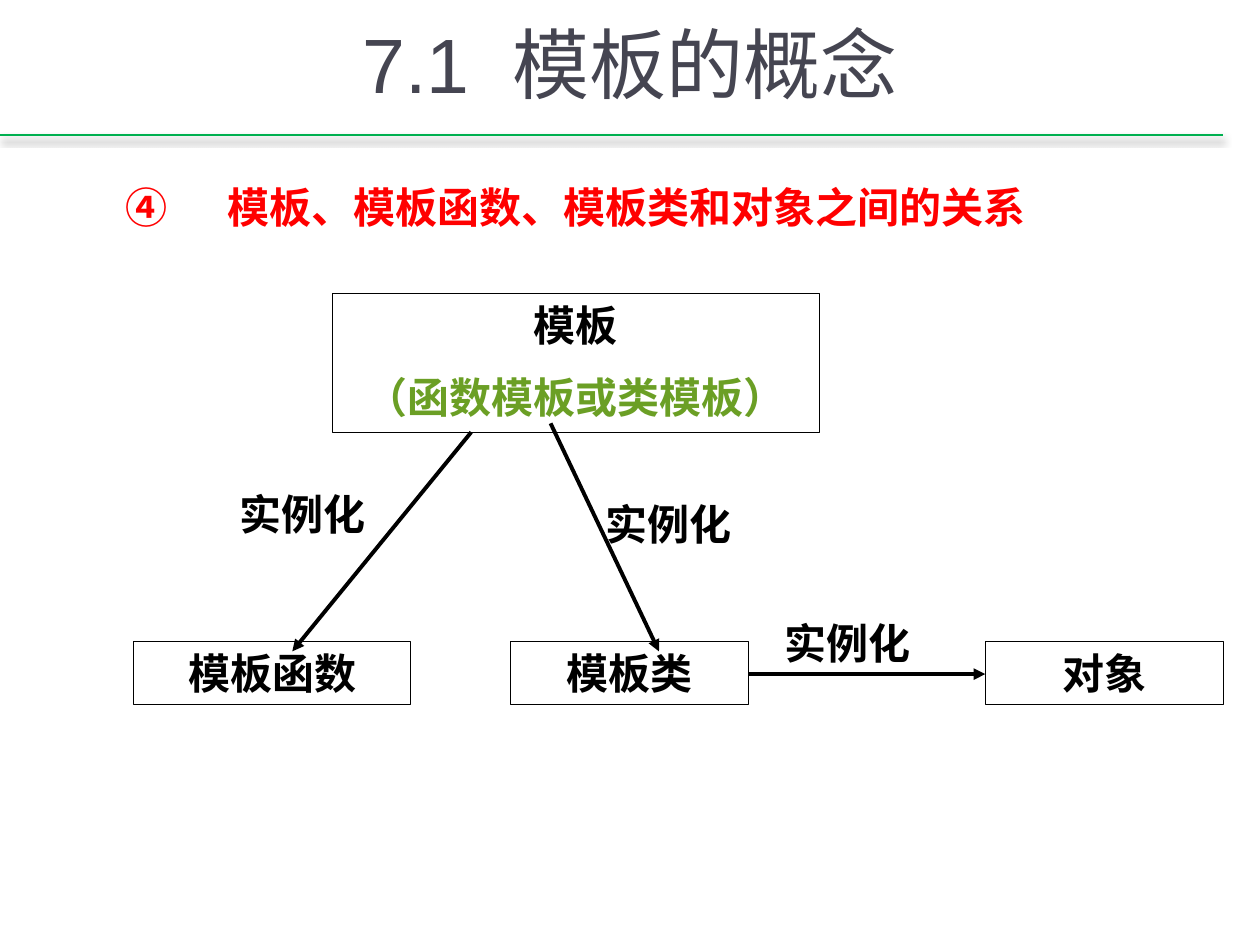
from lxml.etree import SubElement
from pptx import Presentation
from pptx.dml.color import RGBColor
from pptx.enum.shapes import MSO_CONNECTOR, MSO_SHAPE
from pptx.enum.text import MSO_ANCHOR, MSO_AUTO_SIZE, PP_ALIGN
from pptx.oxml.ns import qn
from pptx.util import Inches, Pt

COLORS = {"rule": "00B050", "title": "454551", "heading": "FF0000", "ink": "000000", "kinds": "6B9F25"}
COLUMNS, ROWS = 100, 75
WIDTH, HEIGHT = Inches(10), Inches(7.5)
TITLE = {"size": Pt(44), "name": "Arial", "bold": False}
HEADING = {"size": Pt(24), "name": "Arial", "bold": True}
LABEL = {"size": Pt(24), "name": "Times New Roman", "bold": True}
NODE_TOP, NODE_HEIGHT = 50.9, 5
ARROW_TIP = 51.7


def grid(*lengths):
    """Turn alternating columns and rows into slide lengths."""
    steps = (WIDTH / COLUMNS, HEIGHT / ROWS)
    return [round(length * steps[index % 2]) for index, length in enumerate(lengths)]


def color(name):
    """Look up a named colour."""
    return RGBColor.from_string(COLORS[name])


def add_run(paragraph, text, style, color_name):
    """Append formatted text to a paragraph."""
    run = paragraph.add_run()
    run.text = text
    for attribute, value in style.items():
        setattr(run.font, attribute, value)
    run.font.color.rgb = color(color_name)
    return run


def fill_frame(shape, lines, style=LABEL):
    """Write centred lines, each after the first half a line lower."""
    frame = shape.text_frame
    settings = {"word_wrap": True, "auto_size": MSO_AUTO_SIZE.SHAPE_TO_FIT_TEXT,
                "vertical_anchor": MSO_ANCHOR.TOP}
    for attribute, value in settings.items():
        setattr(frame, attribute, value)
    for index, (text, color_name) in enumerate(lines):
        paragraph = frame.add_paragraph() if index else frame.paragraphs[0]
        paragraph.alignment = PP_ALIGN.CENTER
        if index:
            spacing = SubElement(paragraph._p.get_or_add_pPr(), qn("a:spcBef"))
            SubElement(spacing, qn("a:spcPct"), val="50000")
        add_run(paragraph, text, style, color_name)


def add_node(slide, place, lines):
    """Add an outlined box of the diagram."""
    shape = slide.shapes.add_shape(MSO_SHAPE.RECTANGLE, *grid(*place))
    shape.shadow.inherit = False
    shape.fill.background()
    shape.line.color.rgb = color("ink")
    shape.line.width = Pt(0.25)
    fill_frame(shape, lines)


def add_label(slide, left, top):
    """Add the caption beside an arrow."""
    box = slide.shapes.add_textbox(*grid(left, top, 22, 5))
    fill_frame(box, [("实例化", "ink")])


def add_line(slide, ends, color_name, width):
    """Add a straight line and return it with its empty effect list."""
    line = slide.shapes.add_connector(MSO_CONNECTOR.STRAIGHT, *grid(*ends))
    line.line.color.rgb = color(color_name)
    line.line.width = Pt(width)
    effects = SubElement(line._element.spPr, qn("a:effectLst"))
    return line, effects


def add_arrow(slide, ends):
    """Add an arrow of the diagram."""
    arrow, _ = add_line(slide, ends, "ink", 2.25)
    SubElement(arrow.line._get_or_add_ln(), qn("a:tailEnd"), type="triangle")


def add_rule(slide):
    """Add the shadowed line below the title."""
    _, effects = add_line(slide, (0, 10.7, 97.1, 10.7), "rule", 1.25)
    shadow = SubElement(effects, qn("a:outerShdw"), blurRad=str(Pt(4)), dist=str(Pt(2.5)),
                        dir="5400000", rotWithShape="0")
    shade = SubElement(shadow, qn("a:srgbClr"), val=COLORS["ink"])
    SubElement(shade, qn("a:alpha"), val="47000")


def add_title(slide):
    """Add the title with a wide gap after its number."""
    frame = slide.shapes.add_textbox(*grid(7.5, -0.7, 85, 11.4)).text_frame
    frame.word_wrap = True
    frame.vertical_anchor = MSO_ANCHOR.MIDDLE
    paragraph = frame.paragraphs[0]
    paragraph.alignment = PP_ALIGN.CENTER
    add_run(paragraph, "7.1", TITLE, "title")
    gap = add_run(paragraph, " ", TITLE, "title")
    gap._r.get_or_add_rPr().set("spc", "1200")
    add_run(paragraph, "模板的概念", TITLE, "title")


def add_heading(slide):
    """Add the numbered heading."""
    frame = slide.shapes.add_textbox(*grid(9, 13.9, 75.6, 5)).text_frame
    frame.word_wrap = True
    frame.auto_size = MSO_AUTO_SIZE.SHAPE_TO_FIT_TEXT
    paragraph = frame.paragraphs[0]
    properties = paragraph._p.get_or_add_pPr()
    indent = Inches(0.81)
    properties.set("marL", str(indent))
    properties.set("indent", str(-indent))
    SubElement(properties, qn("a:buAutoNum"), type="circleNumDbPlain", startAt="4")
    add_run(paragraph, "模板、模板函数、模板类和对象之间的关系", HEADING, "heading")


def main():
    """Build and save the slide."""
    presentation = Presentation()
    presentation.slide_width, presentation.slide_height = WIDTH, HEIGHT
    slide = presentation.slides.add_slide(presentation.slide_layouts[6])
    add_rule(slide)
    add_title(slide)
    add_node(slide, (26.4, 23.3, 38.6, 11), [("模板", "ink"), ("（函数模板或类模板）", "kinds")])
    for text, left, width in (("模板函数", 10.6, 22), ("模板类", 40.5, 18.9), ("对象", 78.2, 18.9)):
        add_node(slide, (left, NODE_TOP, width, NODE_HEIGHT), [(text, "ink")])
    for left, top in ((13, 38.3), (42.1, 39.1), (56.3, 48.5)):
        add_label(slide, left, top)
    for ends in ((37.4, 34.3, 23.2, ARROW_TIP), (43.7, 33.6, 52.3, ARROW_TIP), (59.4, 53.5, 78.2, 53.5)):
        add_arrow(slide, ends)
    add_heading(slide)
    presentation.save("out.pptx")


if __name__ == "__main__":
    main()
